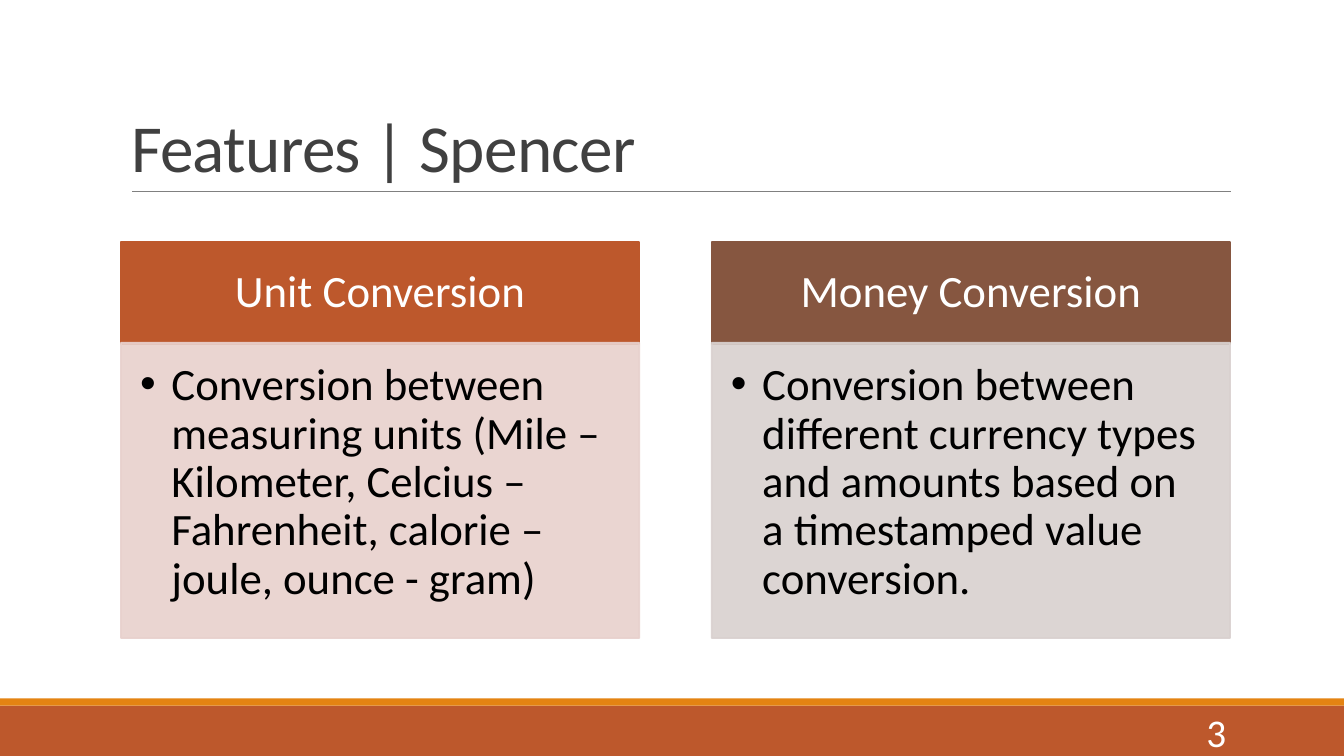
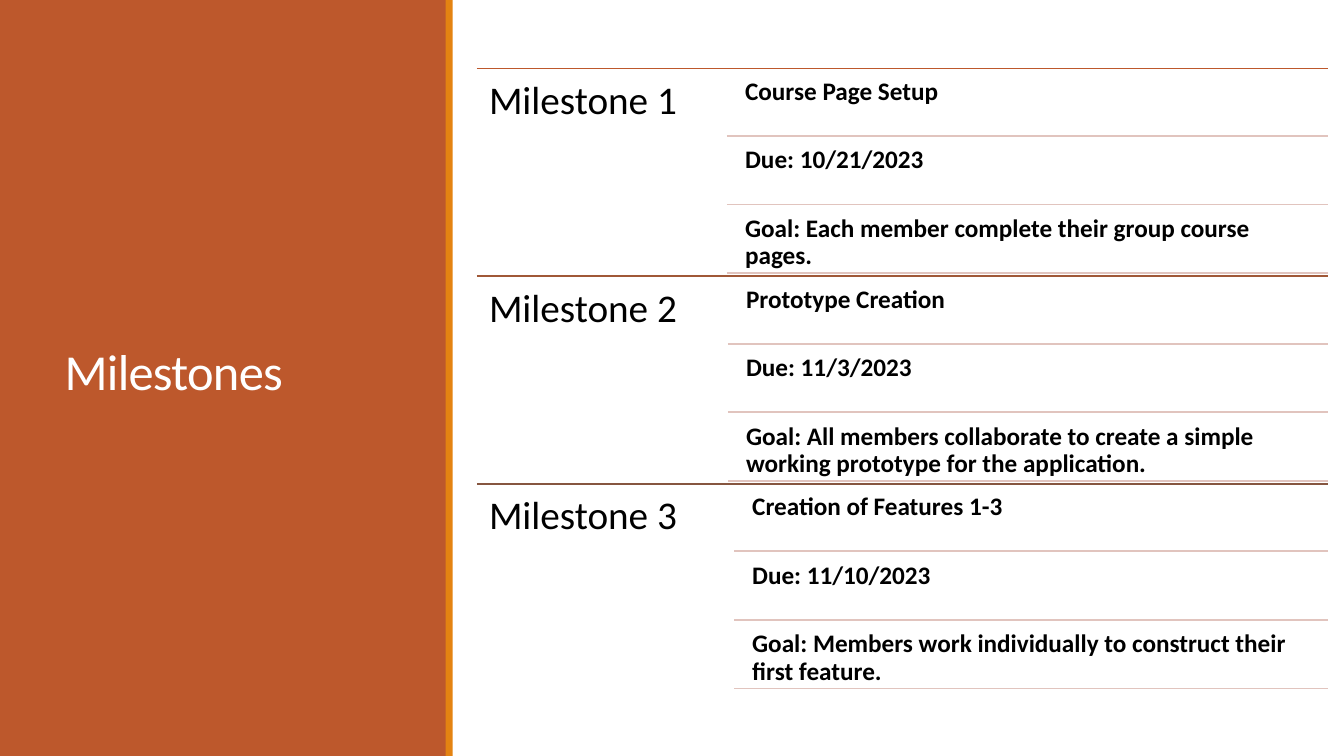
from dataclasses import dataclass

from pptx import Presentation
from pptx.dml.color import RGBColor
from pptx.enum.shapes import MSO_CONNECTOR, MSO_SHAPE
from pptx.enum.text import MSO_ANCHOR, MSO_AUTO_SIZE, PP_ALIGN
from pptx.oxml.ns import qn
from pptx.util import Inches, Pt
from lxml.etree import SubElement


@dataclass(frozen=True)
class Theme:
    font: str = "Calibri"
    rust: str = "BD582C"
    amber: str = "E48312"
    sienna: str = "A05837"
    brown: str = "865640"
    rose: str = "E8D1CD"
    stone: str = "D9D1CF"
    divider: str = "E1C4BE"
    gray: str = "808080"
    dark: str = "404040"
    black: str = "000000"
    white: str = "FFFFFF"
    title: int = 48
    side_title: int = 36
    card: int = 32
    milestone: int = 28
    number: int = 28
    detail: int = 18


THEME = Theme()


def write_text(box, area, text, size, color, insets=(0.1, 0.05, 0.1, 0.05),
               anchor=MSO_ANCHOR.TOP, align=PP_ALIGN.LEFT, spacing=0.9, bold=False):
    """Place a box and fill it with one styled run, which is returned."""
    box.left, box.top, box.width, box.height = map(Inches, area)
    frame = box.text_frame
    frame.word_wrap = True
    frame.auto_size = MSO_AUTO_SIZE.NONE
    frame.vertical_anchor = anchor
    (frame.margin_left, frame.margin_top,
     frame.margin_right, frame.margin_bottom) = map(Inches, insets)
    para = frame.paragraphs[0]
    para.alignment = align
    para.line_spacing = spacing
    para.space_before = Pt(0)
    span = para.add_run()
    span.text = text
    span.font.name = THEME.font
    span.font.size = Pt(size)
    span.font.bold = bold
    span.font.color.rgb = RGBColor.from_string(color)
    return span


def add_rule(page, left, right, top, color, width=1.25):
    rule = page.shapes.add_connector(
        MSO_CONNECTOR.STRAIGHT, Inches(left), Inches(top), Inches(right), Inches(top))
    rule.line.color.rgb = RGBColor.from_string(color)
    rule.line.width = Pt(width)
    SubElement(rule.element.spPr, qn("a:effectLst"))


deck = Presentation()
deck.slide_width = Inches(13.33)
deck.slide_height = Inches(7.5)
features = deck.slides.add_slide(deck.slide_layouts.get_by_name("Comparison"))
milestones = deck.slides.add_slide(deck.slide_layouts.get_by_name("Title Only"))

# Bands: the footer pair belongs to the master, the side pair to the milestones
master_tree = deck.slide_master.element.cSld.spTree
milestone_tree = milestones.element.cSld.spTree
bands = [
    (master_tree, THEME.rust, (0, 7, 13.33, 0.5)),
    (master_tree, THEME.amber, (0, 6.93, 13.33, 0.07)),
    (milestone_tree, THEME.rust, (0, 0, 4.43, 7.5)),
    (milestone_tree, THEME.amber, (4.42, 0, 0.07, 7.5)),
]
for number, (tree, color, area) in enumerate(bands, start=101):
    band = milestones.shapes.add_shape(MSO_SHAPE.RECTANGLE, *map(Inches, area))
    band.shadow.inherit = False
    band.fill.solid()
    band.fill.fore_color.rgb = RGBColor.from_string(color)
    band.line.fill.background()
    band.element.nvSpPr.cNvPr.set("id", str(number))
    tree.append(band.element)
milestones.element.set("showMasterSp", "0")
milestone_tree.append(milestones.shapes.title.element)

# Titles
titles = [
    (features, "Features | Spencer", (1.2, 0.31, 11, 1.59),
     THEME.title, THEME.dark, MSO_ANCHOR.BOTTOM),
    (milestones, "Milestones", (0.54, 0.57, 3.37, 6.31),
     THEME.side_title, THEME.white, MSO_ANCHOR.MIDDLE),
]
for page, text, area, size, color, anchor in titles:
    span = write_text(page.shapes.title, area, text, size, color,
                      anchor=anchor, spacing=0.85)
    span.font._element.set("spc", "-50")

# Features
add_rule(features, 1.31, 12.21, 1.9, THEME.gray, 0.5)
cards = [
    ("Unit Conversion",
     "Conversion between measuring units (Mile – Kilometer, Celcius – Fahrenheit, "
     "calorie – joule, ounce - gram)", THEME.rust, THEME.rose),
    ("Money Conversion",
     "Conversion between different currency types and amounts based on "
     "a timestamped value conversion.", THEME.brown, THEME.stone),
]
holders = {holder.placeholder_format.idx: holder for holder in features.placeholders}
for column, (heading, description, strong, pale) in enumerate(cards):
    left = 1.2 + column * 5.86
    header, body = holders[1 + 2 * column], holders[2 + 2 * column]
    write_text(header, (left, 2.4, 5.14, 1.01), heading, THEME.card, THEME.white,
               (0.25, 0.14, 0.25, 0.14), MSO_ANCHOR.MIDDLE, PP_ALIGN.CENTER)
    write_text(body, (left, 3.4, 5.14, 2.93), description, THEME.card, THEME.black,
               (0.19, 0.19, 0.25, 0.28))
    bullet = body.text_frame.paragraphs[0]._p.get_or_add_pPr()
    bullet.set("marL", str(Inches(0.31)))
    bullet.set("indent", str(-Inches(0.31)))
    SubElement(bullet, qn("a:buChar")).set("char", "•")
    for box, color in ((header, strong), (body, pale)):
        box.fill.solid()
        box.fill.fore_color.rgb = RGBColor.from_string(color)
        box.line.color.rgb = RGBColor.from_string(color)
        box.line.width = Pt(1.25)
    for tint in body.element.spPr.iter(qn("a:srgbClr")):
        SubElement(tint, qn("a:alpha")).set("val", "90000")

write_text(features.shapes.add_textbox(0, 0, 0, 0), (10.83, 7.06, 1.43, 0.4), "3",
           THEME.number, THEME.white, anchor=MSO_ANCHOR.MIDDLE,
           align=PP_ALIGN.RIGHT, spacing=1.0)

# Milestones
right = 13.17
schedule = [
    ("Milestone 1", THEME.rust, 7.21,
     ("Course Page Setup", "Due: 10/21/2023",
      "Goal: Each member complete their group course pages.")),
    ("Milestone 2", THEME.sienna, 7.22,
     ("Prototype Creation", "Due: 11/3/2023",
      "Goal: All members collaborate to create a simple working prototype "
      "for the application.")),
    ("Milestone 3", THEME.brown, 7.28,
     ("Creation of Features 1-3", "Due: 11/10/2023",
      "Goal: Members work individually to construct their first feature.")),
]
for row, (name, color, left, details) in enumerate(schedule):
    top = 0.68 + row * 2.06
    add_rule(milestones, 4.73, right, top, color)
    write_text(milestones.shapes.add_textbox(0, 0, 0, 0), (4.73, top, left - 4.73, 2.07),
               name, THEME.milestone, THEME.black, (0.12,) * 4)
    for line, detail in enumerate(details):
        line_top = top + 0.03 + line * 0.68
        write_text(milestones.shapes.add_textbox(0, 0, 0, 0),
                   (left + 0.11, line_top, right - left - 0.11, 0.65),
                   detail, THEME.detail, THEME.black, (0.07,) * 4, bold=True)
        add_rule(milestones, left, right, line_top + 0.64, THEME.divider)

deck.save("out.pptx")
